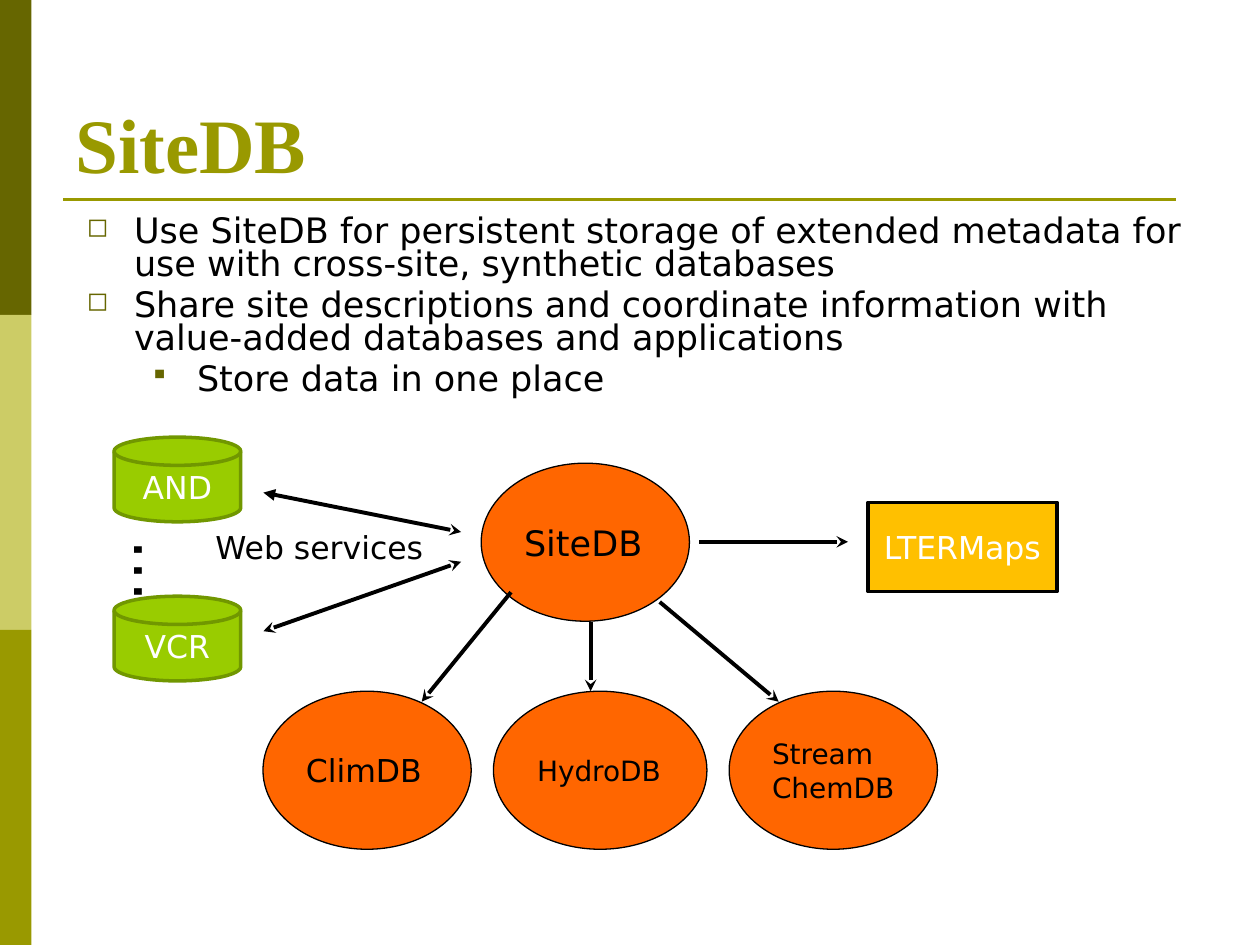
from dataclasses import dataclass

from lxml import etree
from pptx import Presentation
from pptx.dml.color import RGBColor
from pptx.enum import shapes, text
from pptx.oxml.ns import qn
from pptx import util as u

KIND = shapes.MSO_SHAPE
ALIGN = text.PP_ALIGN
ANCHOR = text.MSO_ANCHOR


@dataclass(frozen=True)
class Theme:
    # Colours
    dark: str = "666600"
    pale: str = "CCCC66"
    olive: str = "999900"
    orange: str = "FF6600"
    green: str = "99CC00"
    rim: str = "719700"
    gold: str = "FFC000"
    black: str = "000000"
    white: str = "FFFFFF"
    # Fonts and type sizes
    serif: str = "Times New Roman"
    sans: str = "DejaVu Sans"
    title: int = 44
    dots: int = 36
    body: int = 20
    label: int = 18
    small: int = 16


def tint(code):
    return RGBColor.from_string(code)


class Deck:
    def __init__(self, theme):
        self.theme = theme
        self.show = Presentation()
        self.show.slide_width, self.show.slide_height = u.Pt(720), u.Pt(540)
        self.slide = self.show.slides.add_slide(self.show.slide_layouts[6])

    def label(self, frame, lines, size, color, font=None, bold=False, align=ALIGN.LEFT):
        frame.text = "\n".join(lines)
        for par in frame.paragraphs:
            par.alignment = align
            par.font.name = font or self.theme.sans
            par.font.size = u.Pt(size)
            par.font.bold = bold
            par.font.color.rgb = tint(color)

    def shape(self, kind, box, fill, line=None, width=0.75):
        item = self.slide.shapes.add_shape(kind, *map(u.Pt, box))
        item.shadow.inherit = False
        item.fill.solid()
        item.fill.fore_color.rgb = tint(fill)
        if line:
            item.line.color.rgb = tint(line)
            item.line.width = u.Pt(width)
        else:
            item.line.fill.background()
        frame = item.text_frame
        frame.word_wrap = True
        frame.vertical_anchor = ANCHOR.MIDDLE
        return item

    def oval(self, box, lines, size):
        item = self.shape(KIND.OVAL, box, self.theme.orange, self.theme.black)
        item.text_frame.margin_right = 0
        self.label(item.text_frame, lines, size, self.theme.black)

    def block(self, kind, box, name, fill, line):
        item = self.shape(kind, box, fill, line, 2)
        self.label(item.text_frame, [name], self.theme.label, self.theme.white,
                   align=ALIGN.CENTER)

    def words(self, box, lines, size, color, wrap=True, anchor=ANCHOR.TOP, **style):
        frame = self.slide.shapes.add_textbox(*map(u.Pt, box)).text_frame
        frame.word_wrap = wrap
        frame.vertical_anchor = anchor
        self.label(frame, lines, size, color, **style)
        return frame

    def bullets(self, box, items):
        frame = self.words(box, [line for line, _ in items],
                           self.theme.body, self.theme.black)
        for par, (_, level) in zip(frame.paragraphs, items):
            par.level = level
            par.line_spacing = 0.8
            par.space_before = u.Pt(4)
            props = par._p.get_or_add_pPr()
            props.set("marL", str(u.Pt(27 + 36 * level)))
            props.set("indent", str(-u.Pt(27)))
            # Bullet marks go before the run defaults
            color = etree.Element(qn("a:buClr"))
            etree.SubElement(color, qn("a:srgbClr"), val=self.theme.dark)
            size = etree.Element(qn("a:buSzPct"), val="75000")
            mark = etree.Element(qn("a:buChar"), char="◻▪"[level])
            base = props.find(qn("a:defRPr"))
            for part in (color, size, mark):
                base.addprevious(part)

    def link(self, start, end, color, width, head=None, tail=None):
        item = self.slide.shapes.add_connector(
            shapes.MSO_CONNECTOR.STRAIGHT, *map(u.Pt, start + end))
        item.line.color.rgb = tint(color)
        item.line.width = u.Pt(width)
        edge = item.line._get_or_add_ln()
        for tag, tip in (("a:headEnd", head), ("a:tailEnd", tail)):
            if tip:
                etree.SubElement(edge, qn(tag), type=tip)
        etree.SubElement(item._element.spPr, qn("a:effectLst"))

    def arrow(self, start, end, head=None):
        self.link(start, end, self.theme.black, 2.25, head, "stealth")


def main():
    look = Theme()
    deck = Deck(look)

    # Side band and title
    for row, color in enumerate((look.dark, look.pale, look.olive)):
        deck.shape(KIND.RECTANGLE, (0, 180 * row, 18, 180), color)
    deck.link((36, 114), (672, 114), look.olive, 1.5)
    deck.words((36, 54.7, 568, 57), ["SiteDB"], look.title, look.olive,
               anchor=ANCHOR.BOTTOM, font=look.serif, bold=True)

    # Bullet list
    deck.bullets((42.5, 120, 663, 127), [
        ("Use SiteDB for persistent storage of extended metadata for use with "
         "cross-site, synthetic databases", 0),
        ("Share site descriptions and coordinate information with value-added "
         "databases and applications", 0),
        ("Store data in one place", 1),
    ])

    # Central and derived databases
    deck.oval((275, 264.7, 119, 90.3), ["SiteDB"], look.body)
    for left, width, lines, size in (
        (150.3, 119, ["ClimDB"], look.label),
        (282, 122, ["HydroDB"], look.small),
        (416.7, 119, ["Stream", "ChemDB"], look.small),
    ):
        deck.oval((left, 395, width, 90.3), lines, size)

    # Site stores, with dots for those between
    for top, name in ((249.8, "AND"), (340.7, "VCR")):
        deck.block(KIND.FLOWCHART_MAGNETIC_DISK, (65.2, top, 72.4, 48.4), name,
                   look.green, look.rim)
    dots = deck.words((58.3, 301, 58.3, 35.3), ["…"], look.dots, look.black)
    dots._txBody.bodyPr.set("vert", "vert")
    deck.words((116, 298, 134, 29), ["Web services"], look.label, look.black, wrap=False)

    # Map application
    deck.block(KIND.RECTANGLE, (496, 287, 108, 51), "LTERMaps", look.gold, look.black)

    # Data flows
    deck.arrow((150.5, 281.5), (263.5, 304), head="triangle")
    deck.arrow((150.5, 360.7), (263.5, 321), head="stealth")
    for start, end in (
        ((292, 338.4), (241, 401)),
        ((337.5, 355.7), (337.5, 395)),
        ((377, 344), (445, 401)),
        ((399.6, 309.6), (484.6, 309.6)),
    ):
        deck.arrow(start, end)

    deck.show.save("out.pptx")


if __name__ == "__main__":
    main()
